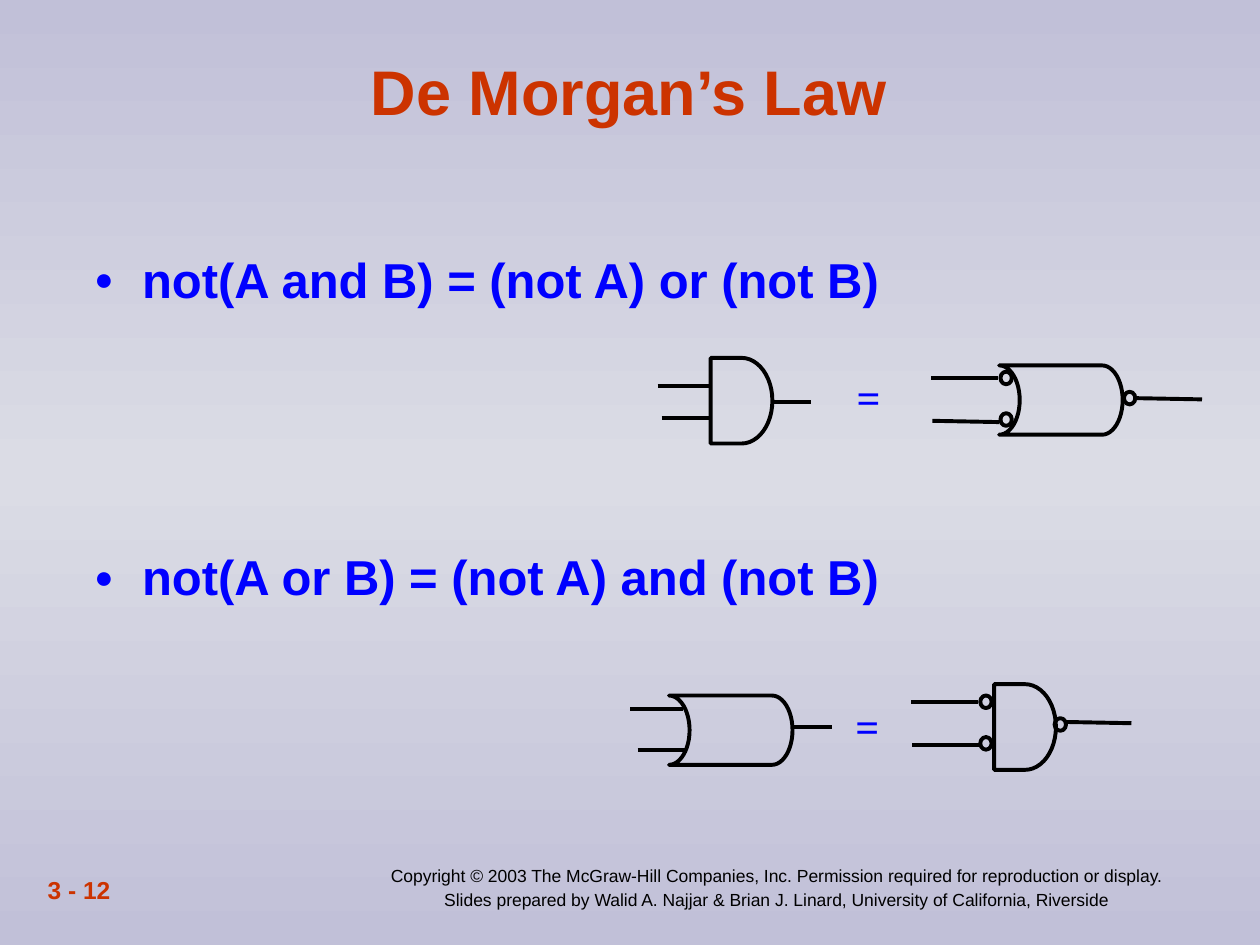
from lxml import etree
from pptx import Presentation
from pptx.dml.color import RGBColor
from pptx.enum.shapes import MSO_CONNECTOR, MSO_SHAPE
from pptx.enum.text import MSO_ANCHOR, PP_ALIGN
from pptx.oxml import parse_xml
from pptx.oxml.ns import nsdecls, qn
from pptx.util import Inches, Pt

AND, OR = MSO_SHAPE.FLOWCHART_DELAY, MSO_SHAPE.FLOWCHART_STORED_DATA
OR = MSO_SHAPE.FLOWCHART_STORED_DATA
CIRCLE, LINE = MSO_SHAPE.OVAL, MSO_CONNECTOR.STRAIGHT
CENTER, LEFT = PP_ALIGN.CENTER, PP_ALIGN.LEFT
TOP, MIDDLE = MSO_ANCHOR.TOP, MSO_ANCHOR.MIDDLE

COLORS = {"edge": "C1C0D8", "middle": "DBDCE5", "accent": "CC3300",
          "law": "0000FF", "ink": "000000"}
SIZES = {AND: (0.49, 0.68), OR: (0.98, 0.55), CIRCLE: (0.09, 0.1)}

TITLE = "De Morgan’s Law"
LAWS = ["not(A and B) = (not A) or (not B)",
        "not(A or B) = (not A) and (not B)"]
FOOTER = [
    "Copyright © 2003 The McGraw-Hill Companies, Inc. "
    "Permission required for reproduction or display.",
    "Slides prepared by Walid A. Najjar & Brian J. Linard, "
    "University of California, Riverside",
]
NUMBER = "3 - 12"

# Gates and bubbles: kind, left, top.  Wires: from x, y, to x, y.
CIRCUITS = [
    {"parts": [(AND, 5.64, 2.84), (OR, 7.93, 2.9), (CIRCLE, 8.92, 3.11),
               (CIRCLE, 7.94, 3.28), (CIRCLE, 7.94, 2.95)],
     "wires": [(5.25, 3.32, 5.63, 3.32), (5.22, 3.06, 5.64, 3.06),
               (6.14, 3.19, 6.44, 3.19), (7.92, 3.0, 7.39, 3.0),
               (7.93, 3.35, 7.4, 3.34), (9.54, 3.17, 9.01, 3.16)],
     "equals": (6.7, 2.9)},
    {"parts": [(AND, 7.89, 5.43), (OR, 5.31, 5.52), (CIRCLE, 8.37, 5.7),
               (CIRCLE, 7.78, 5.85), (CIRCLE, 7.78, 5.52)],
     "wires": [(5.06, 5.95, 5.44, 5.95), (5.0, 5.63, 5.42, 5.63),
               (6.29, 5.77, 6.6, 5.77), (7.76, 5.57, 7.23, 5.57),
               (7.77, 5.91, 7.24, 5.91), (8.98, 5.74, 8.46, 5.73)],
     "equals": (6.69, 5.51)},
]


def rgb(name):
    return RGBColor.from_string(COLORS[name])


def set_background(slide):
    stops = "".join(
        f'<a:gs pos="{pos}"><a:srgbClr val="{COLORS[name]}"/></a:gs>'
        for pos, name in ((0, "edge"), (50000, "middle"), (100000, "edge")))
    slide._element.cSld.insert(0, parse_xml(
        f'<p:bg {nsdecls("p", "a")}><p:bgPr><a:gradFill rotWithShape="0">'
        f'<a:gsLst>{stops}</a:gsLst><a:lin ang="5400000" scaled="1"/>'
        '</a:gradFill><a:effectLst/></p:bgPr></p:bg>'))


def add_bullet(p):
    pPr = p._p.get_or_add_pPr()
    pPr.set("marL", str(Inches(0.38)))
    pPr.set("indent", str(-Inches(0.38)))
    etree.SubElement(pPr, qn("a:buSzPct")).set("val", "65000")
    etree.SubElement(pPr, qn("a:buFont")).set("typeface", "Arial")
    etree.SubElement(pPr, qn("a:buChar")).set("char", "●")


def add_text(shapes, lines, box, size, color, bold=True, font="Arial",
             align=LEFT, anchor=TOP, wrap=True, bullet=False,
             gap=0, spacing=None):
    sp = shapes.add_textbox(*map(Inches, box))
    tf = sp.text_frame
    tf.word_wrap, tf.vertical_anchor = wrap, anchor
    for i, line in enumerate(lines):
        p = tf.paragraphs[0] if i == 0 else tf.add_paragraph()
        p.alignment = align
        if spacing:
            p.line_spacing = spacing
        if i:
            p.space_before = Pt(gap)
        if bullet:
            add_bullet(p)
        r = p.add_run()
        r.text = line
        r.font.size, r.font.bold, r.font.name = Pt(size), bold, font
        r.font.color.rgb = rgb(color)


def ink(sp):
    sp.line.color.rgb, sp.line.width = rgb("ink"), Pt(2.25)


def add_circuit(slide, circuit):
    shapes = slide.shapes.add_group_shape().shapes
    for kind, x, y in circuit["parts"]:
        sp = shapes.add_shape(kind, *map(Inches, (x, y, *SIZES[kind])))
        sp.shadow.inherit = False
        sp.fill.background()
        ink(sp)
        if kind == OR:
            sp._element.spPr.find(qn("a:xfrm")).set("flipH", "1")
    for ends in circuit["wires"]:
        wire = shapes.add_connector(LINE, *map(Inches, ends))
        ink(wire)
        etree.SubElement(wire._element.spPr, qn("a:effectLst"))
    add_text(shapes, ["="], (*circuit["equals"], 0.39, 0.5), 24, "law",
             font="Times New Roman", wrap=False)


def main():
    prs = Presentation()
    prs.slide_width, prs.slide_height = Inches(10), Inches(7.5)
    slide = prs.slides.add_slide(prs.slide_layouts[6])
    set_background(slide)
    add_text(slide.shapes, FOOTER, (2.62, 6.81, 7.08, 0.47), 10, "ink",
             bold=False, align=CENTER, anchor=MIDDLE, gap=2)
    add_text(slide.shapes, [TITLE], (0.49, 0.4, 9, 0.64), 36, "accent",
             align=CENTER, anchor=MIDDLE)
    add_text(slide.shapes, LAWS, (0.65, 1.98, 9.17, 4.19), 28, "law",
             bullet=True, gap=140, spacing=0.9)
    for circuit in CIRCUITS:
        add_circuit(slide, circuit)
    add_text(slide.shapes, [NUMBER], (0.28, 6.81, 2.08, 0.5), 14, "accent",
             anchor=MIDDLE)
    prs.save("out.pptx")


if __name__ == "__main__":
    main()
